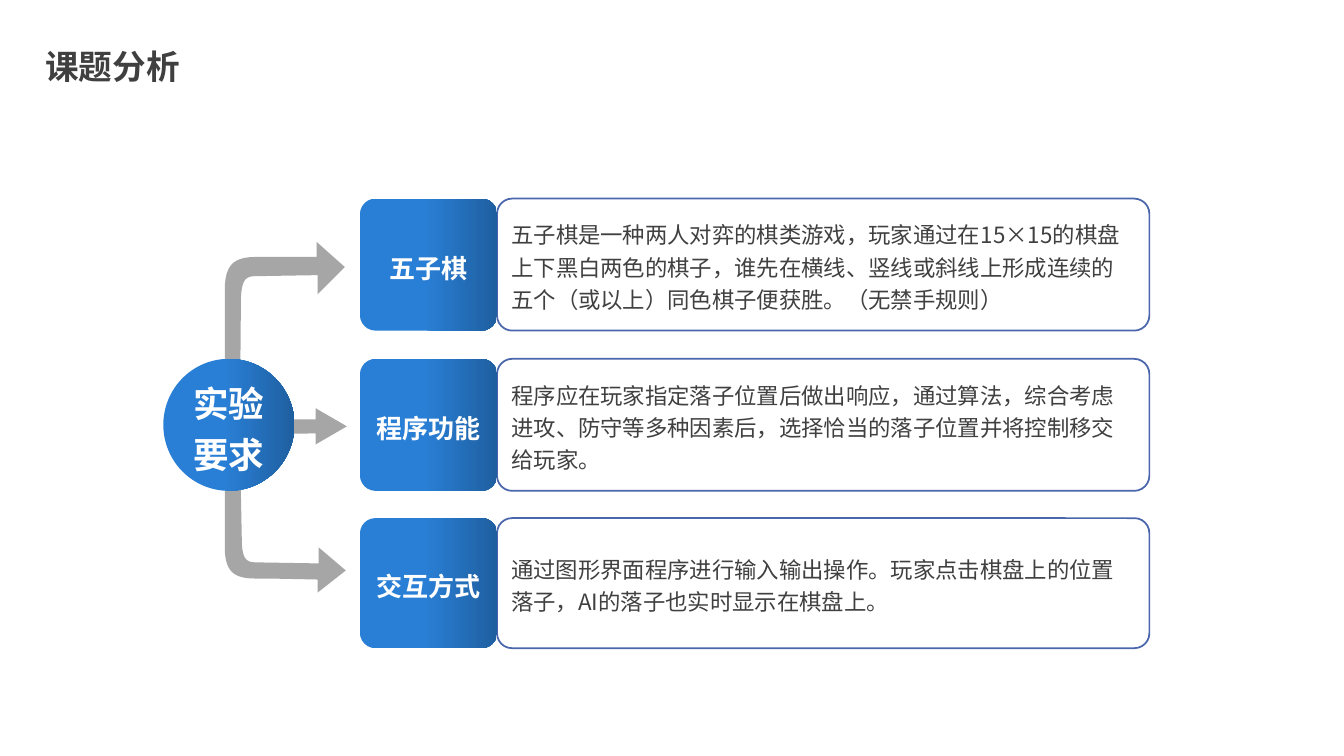
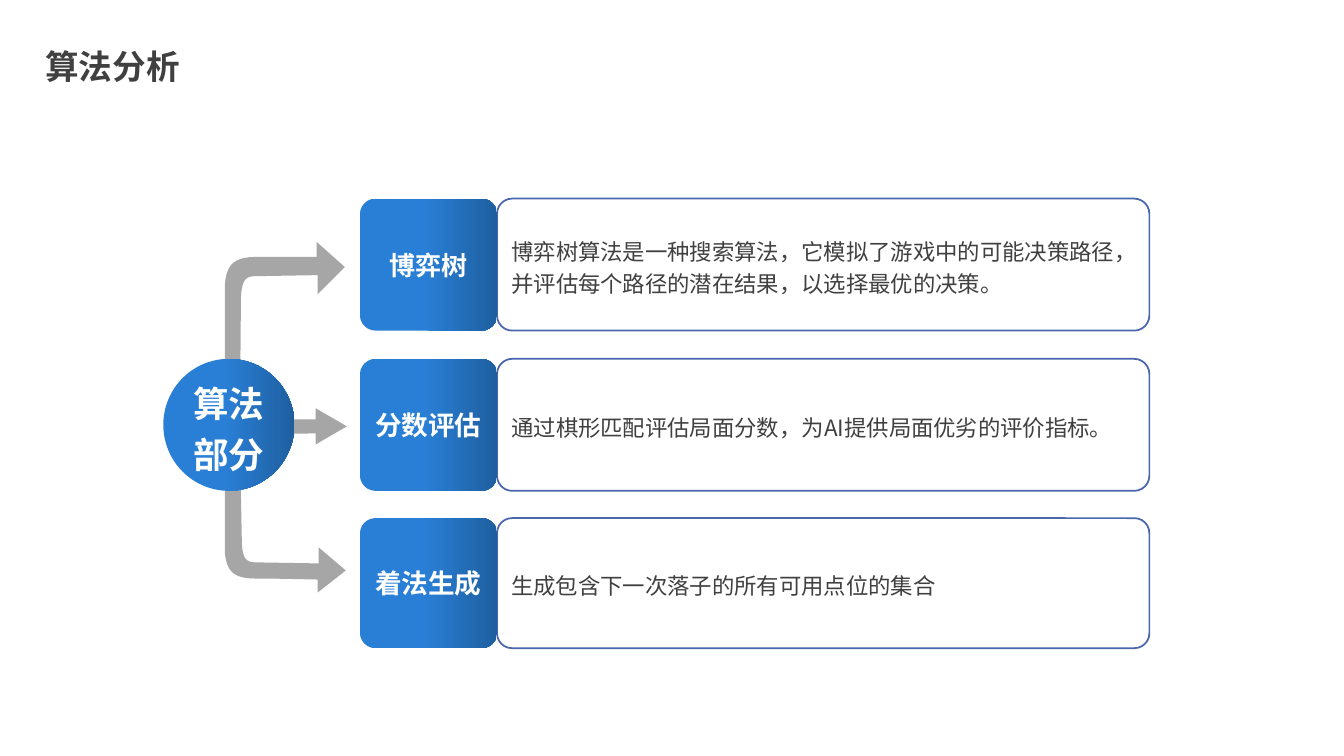
from lxml.etree import SubElement
from pptx import Presentation
from pptx.dml.color import RGBColor
from pptx.enum.shapes import MSO_SHAPE
from pptx.enum.text import MSO_ANCHOR, MSO_AUTO_SIZE, PP_ALIGN
from pptx.oxml.ns import qn
from pptx.util import Inches, Pt

# Shared style
DARK_TEXT = RGBColor(0x40, 0x40, 0x40)
WHITE = RGBColor(0xFF, 0xFF, 0xFF)
ARROW_GRAY = RGBColor(0xA6, 0xA6, 0xA6)
OUTLINE_BLUE = RGBColor(0x4A, 0x66, 0xAC)
BLUE = RGBColor(0x29, 0x7F, 0xD5)
DEEP_BLUE = RGBColor(0x1F, 0x5F, 0xA0)
FONT = "Noto Sans CJK SC"
LATIN_FONT = "Arial"

# Shared layout, in inches: top and height of each row
ROWS = [(1.97, 1.31), (3.56, 1.31), (5.14, 1.29)]
LABEL_LEFT, LABEL_WIDTH = 3.57, 1.36
DETAIL_LEFT, DETAIL_WIDTH = LABEL_LEFT + LABEL_WIDTH, 6.47
HUB_BOX = (1.62, 3.56, 1.3, 1.31)
TITLE_BOX = (0.35, 0.41, 6, 0.5)

# Arrow outlines: a pair is a corner, three pairs are a cubic curve
DOWN_ARROW = [
    (2.38, 4.41), (2.4, 5.4), ((2.41, 5.58), (2.47, 5.58), (2.57, 5.58)),
    (3.16, 5.59), (3.16, 5.43), (3.43, 5.66), (3.15, 5.88), (3.15, 5.75),
    ((3.15, 5.75), (2.75, 5.74), (2.53, 5.74)),
    ((2.31, 5.74), (2.24, 5.66), (2.23, 5.46)),
    (2.23, 4.39), ((2.26, 4.21), (2.35, 4.23), (2.38, 4.41)),
]
MIDDLE_ARROW = [
    (2.02, 4.32), (3.13, 4.3), (3.13, 4.41), (3.44, 4.23),
    (3.13, 4.05), (3.13, 4.16), (2.02, 4.16),
]
UP_ARROW = [
    (2.38, 4.1), (2.39, 2.95), ((2.4, 2.74), (2.46, 2.74), (2.56, 2.74)),
    (3.15, 2.73), (3.15, 2.92), (3.42, 2.65), (3.14, 2.4), (3.14, 2.55),
    ((3.14, 2.55), (2.75, 2.55), (2.53, 2.55)),
    ((2.3, 2.55), (2.23, 2.65), (2.23, 2.88)),
    (2.23, 4.12), ((2.25, 4.32), (2.35, 4.3), (2.38, 4.1)),
]
CURVE_STEPS = 12

# Content: title, hub, label line spacing, rows of (label, label size, detail)
SLIDES = [
    ("课题分析", "实验要求", 1.2, [
        ("五子棋", 18.6,
         "五子棋是一种两人对弈的棋类游戏，玩家通过在15×15的棋盘上下黑白两色的棋子，"
         "谁先在横线、竖线或斜线上形成连续的五个（或以上）同色棋子便获胜。（无禁手规则）"),
        ("程序功能", 18.6,
         "程序应在玩家指定落子位置后做出响应，通过算法，综合考虑进攻、防守等多种因素后，"
         "选择恰当的落子位置并将控制移交给玩家。"),
        ("交互方式", 18.6,
         "通过图形界面程序进行输入输出操作。玩家点击棋盘上的位置落子，"
         "AI的落子也实时显示在棋盘上。"),
    ]),
    ("算法分析", "算法部分", 1.0, [
        ("博弈树", 18.6,
         "博弈树算法是一种搜索算法，它模拟了游戏中的可能决策路径，"
         "并评估每个路径的潜在结果，以选择最优的决策。"),
        ("分数评估", 19, "通过棋形匹配评估局面分数，为AI提供局面优劣的评价指标。"),
        ("着法生成", 19, "生成包含下一次落子的所有可用点位的集合"),
    ]),
]


def place(shape, box):
    shape.left, shape.top, shape.width, shape.height = map(Inches, box)


def write_text(shape, text, size, color, bold=False, align=PP_ALIGN.LEFT,
               spacing=1.0, latin=FONT):
    frame = shape.text_frame
    frame.word_wrap = True
    frame.auto_size = MSO_AUTO_SIZE.NONE
    frame.vertical_anchor = MSO_ANCHOR.MIDDLE
    paragraph = frame.paragraphs[0]
    paragraph.alignment = align
    paragraph.line_spacing = spacing
    run = paragraph.add_run()
    run.text = text
    font = run.font
    font.size, font.bold, font.name = Pt(size), bold, latin
    font.color.rgb = color
    # East Asian typeface
    SubElement(font._element, qn("a:ea")).set("typeface", FONT)


def add_box(slide, kind, box, corner=None):
    shape = slide.shapes.add_shape(kind, *map(Inches, box))
    shape.shadow.inherit = False
    if corner is not None:
        shape.adjustments[0] = corner
    return shape


def add_gradient_box(slide, kind, box, corner=None):
    shape = add_box(slide, kind, box, corner)
    shape.line.fill.background()
    shape.fill.gradient()
    shape.fill.gradient_angle = 0
    stops = shape.fill.gradient_stops
    for stop, position, color in zip(stops, (0.47, 1.0), (BLUE, DEEP_BLUE)):
        stop.position = position
        stop.color.rgb = color
    return shape


def curve_points(start, first, second, end):
    for step in range(1, CURVE_STEPS + 1):
        t = step / CURVE_STEPS
        weights = ((1 - t) ** 3, 3 * t * (1 - t) ** 2, 3 * t * t * (1 - t), t ** 3)
        yield tuple(
            sum(weight * value for weight, value in zip(weights, values))
            for values in zip(start, first, second, end)
        )


def add_arrow(slide, outline):
    points = [outline[0]]
    for part in outline[1:]:
        if len(part) == 3:
            points.extend(curve_points(points[-1], *part))
        else:
            points.append(part)
    corners = [(Inches(x), Inches(y)) for x, y in points]
    builder = slide.shapes.build_freeform(*corners[0])
    builder.add_line_segments(corners[1:], close=True)
    arrow = builder.convert_to_shape()
    arrow.shadow.inherit = False
    arrow.fill.solid()
    arrow.fill.fore_color.rgb = ARROW_GRAY
    arrow.line.fill.background()


def add_detail(slide, text, top, height):
    detail = add_box(slide, MSO_SHAPE.ROUNDED_RECTANGLE,
                     (DETAIL_LEFT, top, DETAIL_WIDTH, height), 0.115)
    detail.fill.background()
    detail.line.color.rgb = OUTLINE_BLUE
    detail.line.width = Pt(1.25)
    write_text(detail, text, 16, DARK_TEXT, spacing=1.2)


def add_label(slide, text, size, spacing, top, height):
    label = add_gradient_box(slide, MSO_SHAPE.ROUNDED_RECTANGLE,
                             (LABEL_LEFT, top, LABEL_WIDTH, height), 0.119)
    write_text(label, text, size, WHITE, True, PP_ALIGN.CENTER, spacing)


def add_hub(slide, text):
    hub = add_gradient_box(slide, MSO_SHAPE.OVAL, HUB_BOX)
    write_text(hub, text, 25.4, WHITE, True, PP_ALIGN.CENTER, 1.2, LATIN_FONT)


def add_branch_slide(presentation, layout, title, hub, spacing, rows):
    slide = presentation.slides.add_slide(layout)
    write_text(slide.shapes.title, title, 24, DARK_TEXT, True)
    for outline in (DOWN_ARROW, MIDDLE_ARROW, UP_ARROW):
        add_arrow(slide, outline)
    for (label, size, detail), (top, height) in zip(rows, ROWS):
        add_detail(slide, detail, top, height)
        add_label(slide, label, size, spacing, top, height)
    add_hub(slide, hub)


def main():
    presentation = Presentation()
    presentation.slide_width = Inches(13.33)
    presentation.slide_height = Inches(7.5)
    # Both slides inherit the title position from the layout
    layout = presentation.slide_layouts.get_by_name("Title Only")
    place(layout.placeholders[0], TITLE_BOX)
    for content in SLIDES:
        add_branch_slide(presentation, layout, *content)
    presentation.save("out.pptx")


if __name__ == "__main__":
    main()
